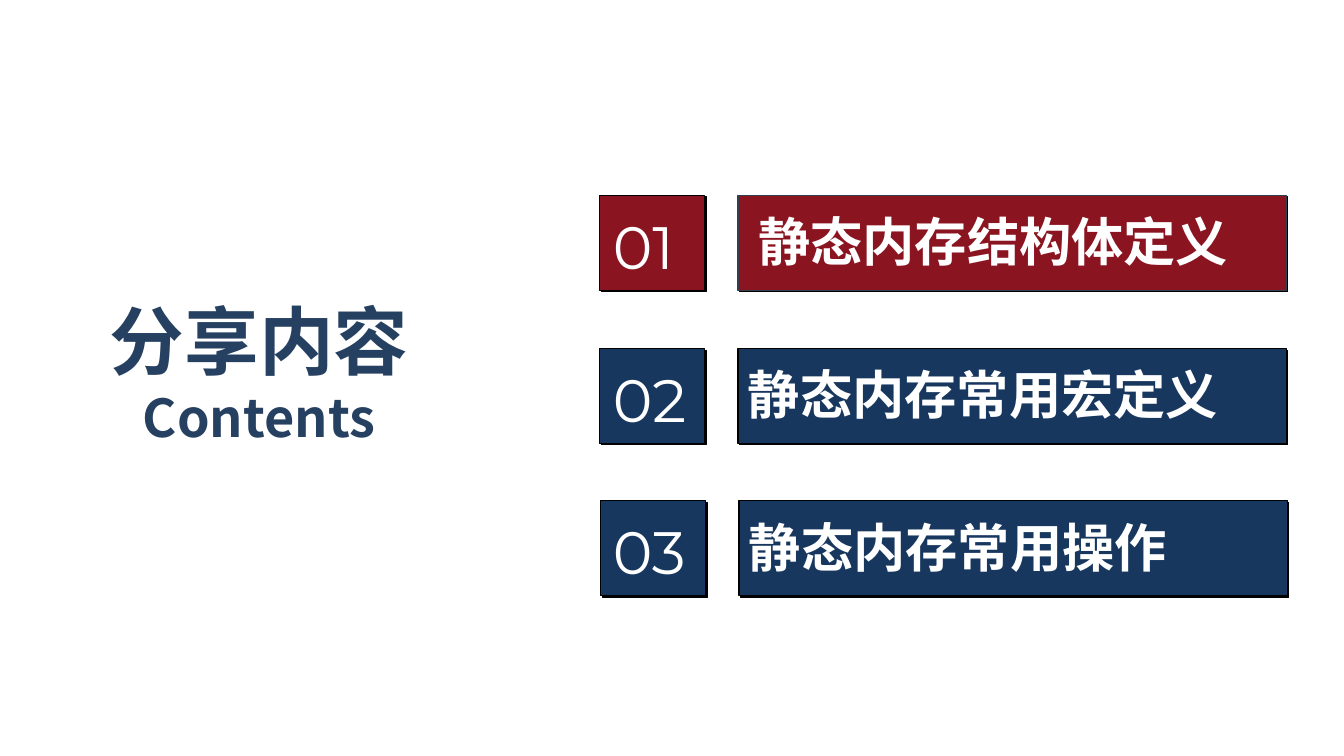
from dataclasses import dataclass

from lxml import etree
from pptx import Presentation
from pptx.dml.color import RGBColor
from pptx.enum import shapes, text
from pptx.oxml import ns
from pptx.util import Inches, Pt

SANS, DIGIT = "Noto Sans CJK SC", "Montserrat"
RED, NAVY, TITLE = "8A1420", "17375E", "254061"
BLACK, SLATE, WHITE = "000000", "323F4F", "FFFFFF"


@dataclass
class Item:
    num: str
    label: str
    left: float
    top: float
    indent: float
    width: float
    fill: str = NAVY
    edge: str = BLACK


ITEMS = [
    Item("01", "静态内存结构体定义", 5.95, 1.94, 0.1, 5.62, RED, SLATE),
    Item("02", "静态内存常用宏定义", 5.95, 3.46, 0, 5.71),
    Item("03", "静态内存常用操作", 5.96, 4.97, 0, 5.71),
]


def color(value: str) -> RGBColor:
    return RGBColor.from_string(value)


def style(run, size: float, tint: str, face: str, bold: bool) -> None:
    for key, value in dict(size=Pt(size), name=face, bold=bold).items():
        setattr(run.font, key, value)
    run.font.color.rgb = color(tint)
    east = etree.SubElement(run.font._element, ns.qn("a:ea"))
    east.set("typeface", face)


def shade(shape) -> None:
    """Add a hard black shadow to the lower right."""
    shape.shadow.inherit = False
    effects = shape._element.spPr.find(ns.qn("a:effectLst"))
    cast = etree.SubElement(effects, ns.qn("a:outerShdw"),
                            dist=str(Pt(1.4)), dir="2700000",
                            algn="tl", rotWithShape="0")
    etree.SubElement(cast, ns.qn("a:srgbClr"), val=BLACK)


def block(slide, left: float, top: float, width: float, fill: str,
          edge: str) -> None:
    box = slide.shapes.add_shape(
        shapes.MSO_SHAPE.RECTANGLE, Inches(left), Inches(top),
        Inches(width), Inches(0.94))
    box.fill.solid()
    box.fill.fore_color.rgb = color(fill)
    box.line.color.rgb = color(edge)
    box.line.width = Pt(0.75)
    shade(box)


def write(slide, words: str, left: float, top: float, width: float,
          height: float, size: float, face: str, bold: bool) -> None:
    frame = slide.shapes.add_textbox(
        Inches(left), Inches(top), Inches(width), Inches(height)).text_frame
    frame.word_wrap = True
    frame.auto_size = text.MSO_AUTO_SIZE.SHAPE_TO_FIT_TEXT
    run = frame.paragraphs[0].add_run()
    run.text = words
    style(run, size, WHITE, face, bold)


def head(slide) -> None:
    title = slide.shapes.title
    place = dict(left=0.97, top=2.88, width=3.2, height=1.63)
    for key, value in place.items():
        setattr(title, key, Inches(value))
    frame = title.text_frame
    form = dict(word_wrap=False, vertical_anchor=text.MSO_ANCHOR.TOP,
                auto_size=text.MSO_AUTO_SIZE.SHAPE_TO_FIT_TEXT)
    for key, value in form.items():
        setattr(frame, key, value)
    frame.text = "分享内容\nContents"
    for para, size in zip(frame.paragraphs, (53.3, 37.3)):
        para.alignment = text.PP_ALIGN.CENTER
        style(para.runs[0], size, TITLE, SANS, True)


def main() -> None:
    deck = Presentation()
    deck.slide_width, deck.slide_height = Inches(13.33), Inches(7.5)
    slide = deck.slides.add_slide(deck.slide_layouts[5])
    head(slide)
    for item in ITEMS:
        bar, top = item.left + 1.37, item.top + 0.09
        block(slide, item.left, item.top, 1.04, item.fill, BLACK)
        write(slide, item.num, 5.98, top, 1.12, 0.82, 42.7, DIGIT, False)
        block(slide, bar, item.top, 5.44, item.fill, item.edge)
        write(slide, item.label, bar + item.indent, top, item.width, 0.73,
              37.3, SANS, True)
    deck.save("out.pptx")


if __name__ == "__main__":
    main()
